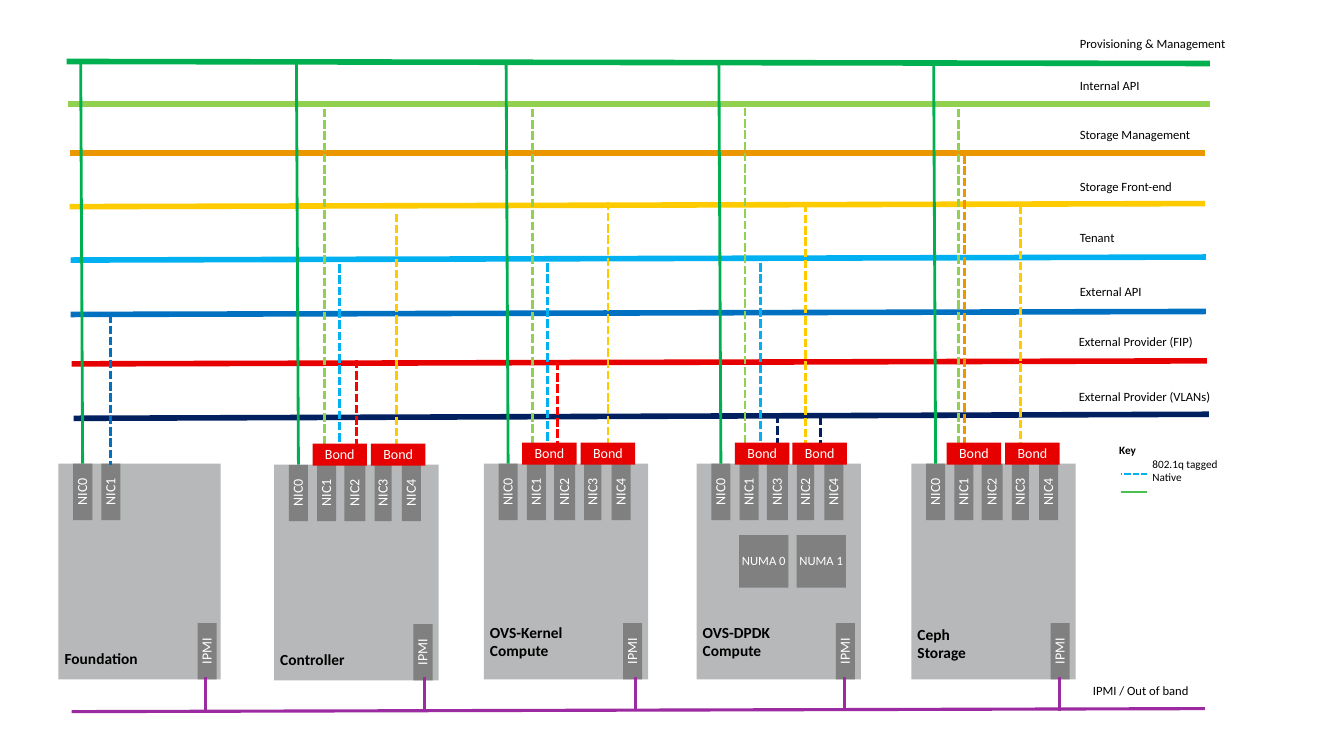
from pptx import Presentation
from pptx.dml.color import RGBColor
from pptx.enum.dml import MSO_LINE
from pptx.enum.shapes import MSO_CONNECTOR, MSO_SHAPE
from pptx.enum.text import MSO_ANCHOR, PP_ALIGN
from pptx.oxml.ns import qn
from pptx.util import Cm, Pt
from lxml.etree import SubElement

COLORS = {
    "black": "000000", "white": "FFFFFF", "server": "B6B8B9", "port": "808080",
    "native": "00B050", "internal": "92D050", "storage": "EB9700",
    "front": "FECB00", "tenant": "00B0F0", "external": "0070C0",
    "fip": "E60000", "fip_drop": "FF0000", "vlan": "002060",
    "ipmi": "9C2AA0", "key": "49C050",
}

# Content, in inches
# Networks: colour, left end, right end, width in points, label, label position
NETWORKS = [
    ("native", (0.66, 0.61), (12, 0.63), 4, "Provisioning & Management", (10.71, 0.36)),
    ("internal", (0.67, 1.03), (12, 1.03), 4, "Internal API", (10.71, 0.77)),
    ("storage", (0.69, 1.52), (11.95, 1.52), 4, "Storage Management", (10.71, 1.26)),
    ("front", (0.69, 2.05), (11.95, 2.02), 4, "Storage Front-end", (10.71, 1.77)),
    ("tenant", (0.7, 2.58), (11.96, 2.55), 4, "Tenant", (10.71, 2.28)),
    ("external", (0.7, 3.12), (11.96, 3.09), 4, "External API", (10.71, 2.82)),
    ("fip", (0.71, 3.61), (11.97, 3.58), 4, "External Provider (FIP)", (10.7, 3.31)),
    ("vlan", (0.73, 4.15), (11.99, 4.11), 4, "External Provider (VLANs)", (10.7, 3.86)),
    ("ipmi", (0.71, 7.06), (11.95, 7.03), 2.25, "IPMI / Out of band", (10.84, 6.77)),
]
# Servers: name lines, left, top, width, name top, NIC order, bond lefts, IPMI cable x
SERVERS = [
    (["Foundation"], 0.58, 4.6, 1.61, 6.44, [0, 1], [], 2.04),
    (["Controller"], 2.72, 4.61, 1.63, 6.45, [0, 1, 2, 3, 4], [3.1, 3.68], 4.21),
    (["OVS-Kernel", "Compute"], 4.8, 4.6, 1.63, 6.18, [0, 1, 2, 3, 4], [5.18, 5.76], 6.3),
    (["OVS-DPDK", "Compute"], 6.91, 4.6, 1.63, 6.18, [0, 1, 3, 2, 4], [7.29, 7.86], 8.38),
    (["Ceph", "Storage"], 9.04, 4.6, 1.63, 6.2, [0, 1, 2, 3, 4], [9.39, 9.97], 10.51),
]
# Tagged cables: colour, width in points, (x, top) of each
TAGGED = [
    ("internal", 2, [(3.22, 1.08), (5.28, 1.08), (7.39, 1.07), (9.51, 1.08)]),
    ("storage", 2, [(9.57, 1.54)]),
    ("front", 2, [(3.93, 2.12), (6.03, 2), (7.99, 2.02), (10.12, 2.04)]),
    ("tenant", 2, [(3.37, 2.62), (5.43, 2.61), (7.54, 2.61)]),
    ("external", 2, [(1.1, 3.12)]),
    ("fip_drop", 2, [(3.54, 3.57), (5.53, 3.59)]),
    ("vlan", 2.25, [(7.71, 4.1), (8.14, 4.12)]),
]
NUMA = [("NUMA 0", 7.33), ("NUMA 1", 7.9)]
NIC_WIDTHS = [0.19, 0.19, 0.21, 0.17, 0.19]
NIC_START, NIC_PITCH, NIC_LENGTH = 0.24, 0.28, 0.56
SERVER_HEIGHT, TAGGED_BOTTOM = 2.14, 4.42


def inch(v):
    return Cm(v * 2.54)


def rgb(name):
    return RGBColor.from_string(COLORS[name])


def add_run(p, text, size, color="black", bold=False):
    r = p.add_run()
    r.text = text
    r.font.name, r.font.size, r.font.bold = "Calibri", Pt(size), bold
    r.font.color.rgb = rgb(color)


def set_margins(tf, v):
    tf.margin_left = tf.margin_right = tf.margin_top = tf.margin_bottom = inch(v)


def add_block(x, y, w, h, color, text="", size=10, upright=False):
    """A filled block; upright blocks are turned so their text reads upwards."""
    if upright:
        x, y, w, h = x + (w - h) / 2, y + (h - w) / 2, h, w
    sp = s.shapes.add_shape(MSO_SHAPE.RECTANGLE, inch(x), inch(y), inch(w), inch(h))
    sp.rotation = 270 if upright else 0
    sp.shadow.inherit = False
    sp.fill.solid()
    sp.fill.fore_color.rgb = rgb(color)
    sp.line.fill.background()
    if text:
        tf = sp.text_frame
        set_margins(tf, 0.01)
        tf.word_wrap = False
        tf.vertical_anchor = MSO_ANCHOR.MIDDLE
        p = tf.paragraphs[0]
        p.alignment, p.line_spacing = PP_ALIGN.CENTER, 0.9
        add_run(p, text, size, "white")


def add_label(x, y, w, h, lines, size, bold=False):
    tf = s.shapes.add_textbox(inch(x), inch(y), inch(w), inch(h)).text_frame
    tf.word_wrap = True
    set_margins(tf, 0)
    for i, line in enumerate(lines):
        p = tf.add_paragraph() if i else tf.paragraphs[0]
        add_run(p, line, size, bold=bold)
    return tf


def add_line(start, end, color, width, dashed=False):
    c = s.shapes.add_connector(MSO_CONNECTOR.STRAIGHT, *map(inch, start + end))
    c.line.color.rgb = rgb(color)
    c.line.width = Pt(width)
    if dashed:
        c.line.dash_style = MSO_LINE.SQUARE_DOT
    SubElement(c._element.spPr, qn("a:effectLst"))


prs = Presentation()
prs.slide_width, prs.slide_height = inch(13.33), inch(7.5)
s = prs.slides.add_slide(prs.slide_layouts[6])

# Servers with their ports
for name, x, y, w, name_y, nics, bonds, cable_x in SERVERS:
    add_block(x, y, w, SERVER_HEIGHT, "server", upright=True)
    add_label(x + 0.06, name_y, 1.3, 0.3 * len(name), name, 11, bold=True)
    for i, nic in enumerate(nics):
        nic_w = NIC_WIDTHS[i]
        nic_x = x + NIC_START + i * NIC_PITCH - nic_w / 2
        add_block(nic_x, y, nic_w, NIC_LENGTH, "port", f"NIC{nic}", upright=True)
    add_block(x + 1.38, y + 1.58, 0.19, 0.56, "port", "IPMI", upright=True)
for text, x in NUMA:
    add_block(x, 5.31, 0.49, 0.52, "port", text, 9)

# Networks
for color, left, right, width, text, (x, y) in NETWORKS:
    add_line(right, left, color, width)
    add_label(x, y, 1.9, 0.37, [text], 9)

# Cables and bonds
for name, x, y, w, name_y, nics, bonds, cable_x in SERVERS:
    nic_x = x + NIC_START
    add_line((nic_x, y), (nic_x - 0.02, 0.6), "native", 2)
    add_line((cable_x, 6.72), (cable_x, 7.05), "ipmi", 2.25)
for color, width, cables in TAGGED:
    for x, top in cables:
        bottom = 4.61 if color == "external" else TAGGED_BOTTOM
        add_line((x, top), (x, bottom), color, width, dashed=True)
for name, x, y, w, name_y, nics, bonds, cable_x in SERVERS:
    for bond_x in bonds:
        add_block(bond_x, y - 0.21, 0.54, 0.22, "fip", "Bond")

# Key
tf = add_label(11.1, 4.4, 1.31, 0.66, ["Key"], 8, bold=True)
for text in ("802.1q tagged", "Native"):
    p = tf.add_paragraph()
    p._p.get_or_add_pPr().set("marL", str(inch(0.33)))
    add_run(p, text, 8)
add_line((11.38, 4.88), (11.12, 4.88), "key", 1.5)
add_line((11.38, 4.7), (11.12, 4.7), "tenant", 1.5, dashed=True)

prs.save("out.pptx")
